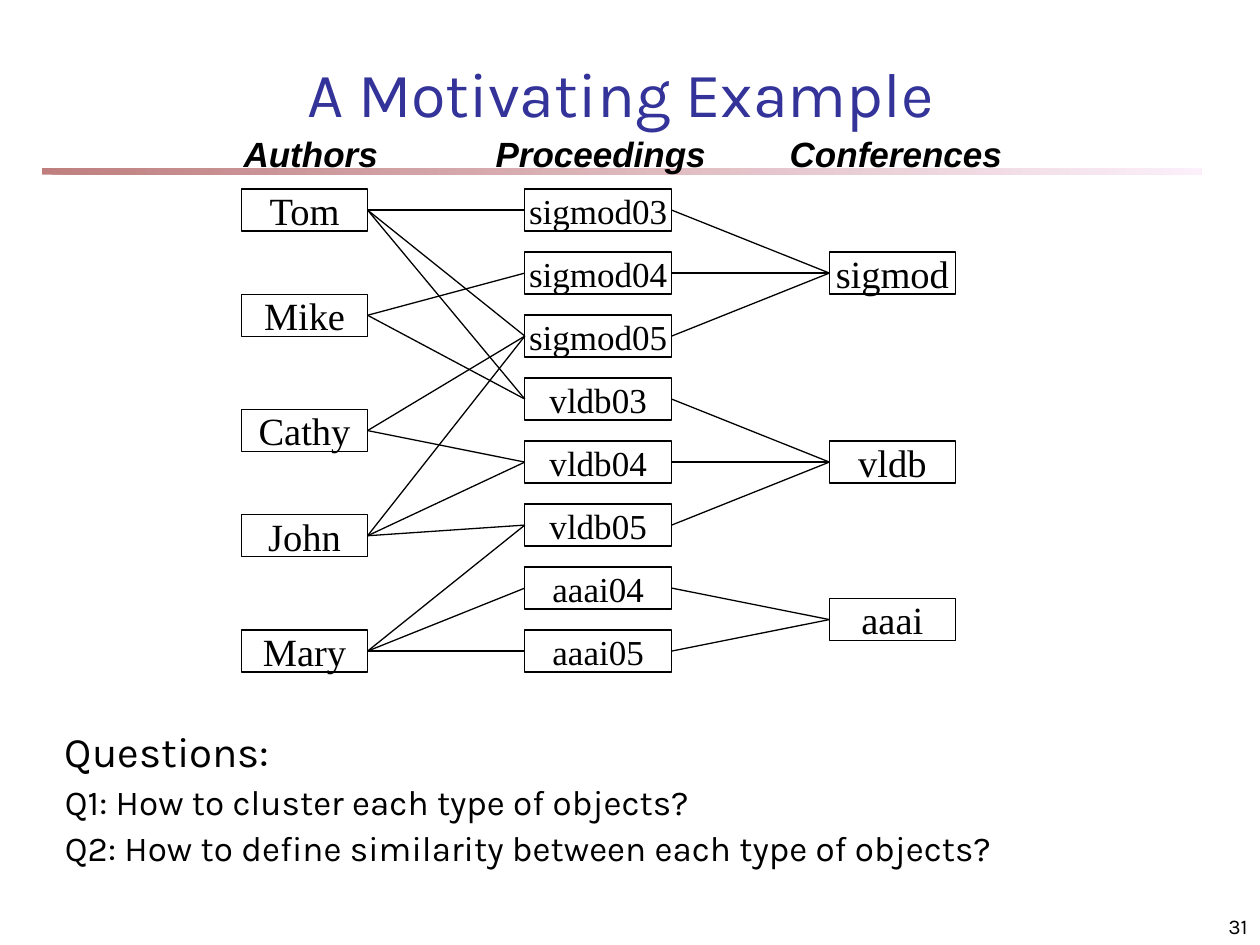
from lxml.etree import SubElement as SubEl
from pptx import Presentation as Deck
from pptx.dml.color import RGBColor as Rgb
from pptx.enum.shapes import MSO_CONNECTOR as Link, MSO_SHAPE as Form
from pptx.enum.text import MSO_ANCHOR as Anchor, MSO_AUTO_SIZE as Fit, PP_ALIGN as Align
from pptx.oxml.ns import qn
from pptx.util import Cm, Pt

HUES = {"ink": "000000", "title": "333399", "paper": "FFFFFF",
        "dark": "800000", "light": "FAE2F6"}
PITCH, TALL = 1.27, 0.85
LEFT, RIGHT = 1, 3

AUTHORS = {
    "Tom": (0, ["sigmod03", "sigmod05", "vldb03"]),
    "Mike": (1.67, ["sigmod04", "vldb03"]),
    "Cathy": (3.5, ["sigmod05", "vldb04"]),
    "John": (5.17, ["sigmod05", "vldb04", "vldb05"]),
    "Mary": (7, ["vldb05", "aaai04", "aaai05"]),
}
VENUES = {"sigmod": ["03", "04", "05"], "vldb": ["03", "04", "05"], "aaai": ["04", "05"]}

TITLE = {"size": Pt(36), "name": "Karla"}
HEAD = {"size": Pt(20), "name": "Arial", "bold": True, "italic": True}
NODE = {"size": Pt(22), "name": "Times New Roman"}
SMALL = {"size": Pt(20), "name": "Times New Roman"}
LEAD = {"size": Pt(24), "name": "Karla"}
ASK = {"size": Pt(20), "name": "Karla"}
PAGE = {"size": Pt(12), "name": "Karla"}


def tint(hue):
    return Rgb.from_string(HUES[hue])


def apply(item, values):
    for key, value in values.items():
        setattr(item, key, value)


def write(para, text, font, hue="ink", **style):
    para.text = text
    apply(para, style)
    apply(para.font, font)
    para.font.color.rgb = tint(hue)


def add_text(slide, box, text, font, hue="ink", frame=None, **style):
    area = slide.shapes.add_textbox(*map(Cm, box)).text_frame
    apply(area, {"word_wrap": True, **(frame or {})})
    write(area.paragraphs[0], text, font, hue, **style)
    return area


def add_band(slide, box):
    band = slide.shapes.add_shape(Form.RECTANGLE, *map(Cm, box))
    band.shadow.inherit = False
    band.line.fill.background()
    band.fill.gradient()
    band.fill.gradient_angle = 0
    for stop, hue in zip(band.fill.gradient_stops, ("dark", "light")):
        stop.color.rgb = tint(hue)
    for color in band.fill._xPr.iter(qn("a:srgbClr")):
        SubEl(color, qn("a:alpha")).set("val", "50000")


def add_node(slide, box, text, font, fill=None, pad=(0.25, 0.13)):
    node = slide.shapes.add_shape(Form.RECTANGLE, *map(Cm, box))
    node.shadow.inherit = False
    if fill:
        node.fill.solid()
        node.fill.fore_color.rgb = tint(fill)
    else:
        node.fill.background()
    node.line.color.rgb = tint("ink")
    node.line.width = Pt(0.75)
    side, edge = map(Cm, pad)
    apply(node.text_frame, {
        "word_wrap": False, "vertical_anchor": Anchor.MIDDLE,
        "margin_left": side, "margin_right": side,
        "margin_top": edge, "margin_bottom": edge})
    write(node.text_frame.paragraphs[0], text, font, alignment=Align.CENTER)
    return node


def add_link(slide, start, end):
    line = slide.shapes.add_connector(Link.STRAIGHT, 0, 0, 0, 0)
    line.begin_connect(start, RIGHT)
    line.end_connect(end, LEFT)
    line.line.color.rgb = tint("ink")
    line.line.width = Pt(0.75)
    SubEl(line._element.spPr, qn("a:effectLst"))


def add_heads(slide, x, y):
    for text, dx, wide in (("Authors", 0, 3.81), ("Proceedings", 5.08, 4.87),
                           ("Conferences", 11.01, 4.87)):
        add_text(slide, (x + dx, y, wide, 1.12), text, HEAD,
                 frame={"auto_size": Fit.SHAPE_TO_FIT_TEXT})


def add_graph(slide, x, y):
    def place(dx, row, wide, text, *look):
        return add_node(slide, (x + dx, y + row * PITCH, wide, TALL), text, *look)

    papers, row = {}, 0
    for venue, years in VENUES.items():
        hub = place(11.85, row + (len(years) - 1) / 2, 2.54, venue, NODE)
        for year in years:
            name = venue + year
            papers[name] = place(5.71, row, 2.96, name, SMALL, "paper", (0.13, 0))
            add_link(slide, papers[name], hub)
            row += 1
    for name, (row, works) in AUTHORS.items():
        author = place(0, row, 2.54, name, NODE)
        for work in works:
            add_link(slide, author, papers[work])


def add_asks(slide, box):
    style = {"line_spacing": 0.9}
    area = add_text(slide, box, "Questions:", LEAD, **style)
    for text in ("Q1: How to cluster each type of objects?",
                 "Q2: How to define similarity between each type of objects?"):
        write(area.add_paragraph(), text, ASK, space_before=Pt(5), **style)
    for para in area.paragraphs:
        props = para._p.get_or_add_pPr()
        props.set("marL", str(Cm(0.95)))
        props.set("indent", str(Cm(-0.95)))


def main():
    deck = Deck()
    deck.slide_width, deck.slide_height = Cm(25.4), Cm(19.05)
    slide = deck.slides.add_slide(deck.slide_layouts[6])
    low = {"vertical_anchor": Anchor.BOTTOM}
    add_band(slide, (0.85, 3.39, 23.37, 0.13))
    add_text(slide, (20.11, 17.99, 5.29, 1.06), "31", PAGE, frame=low,
             alignment=Align.RIGHT)
    add_text(slide, (1.69, 1.06, 21.64, 1.69), "A Motivating Example", TITLE,
             "title", low, alignment=Align.CENTER)
    add_asks(slide, (1.06, 14.61, 23.28, 3.4))
    add_graph(slide, 4.87, 3.81)
    add_heads(slide, 4.66, 2.54)
    deck.save("out.pptx")


if __name__ == "__main__":
    main()
